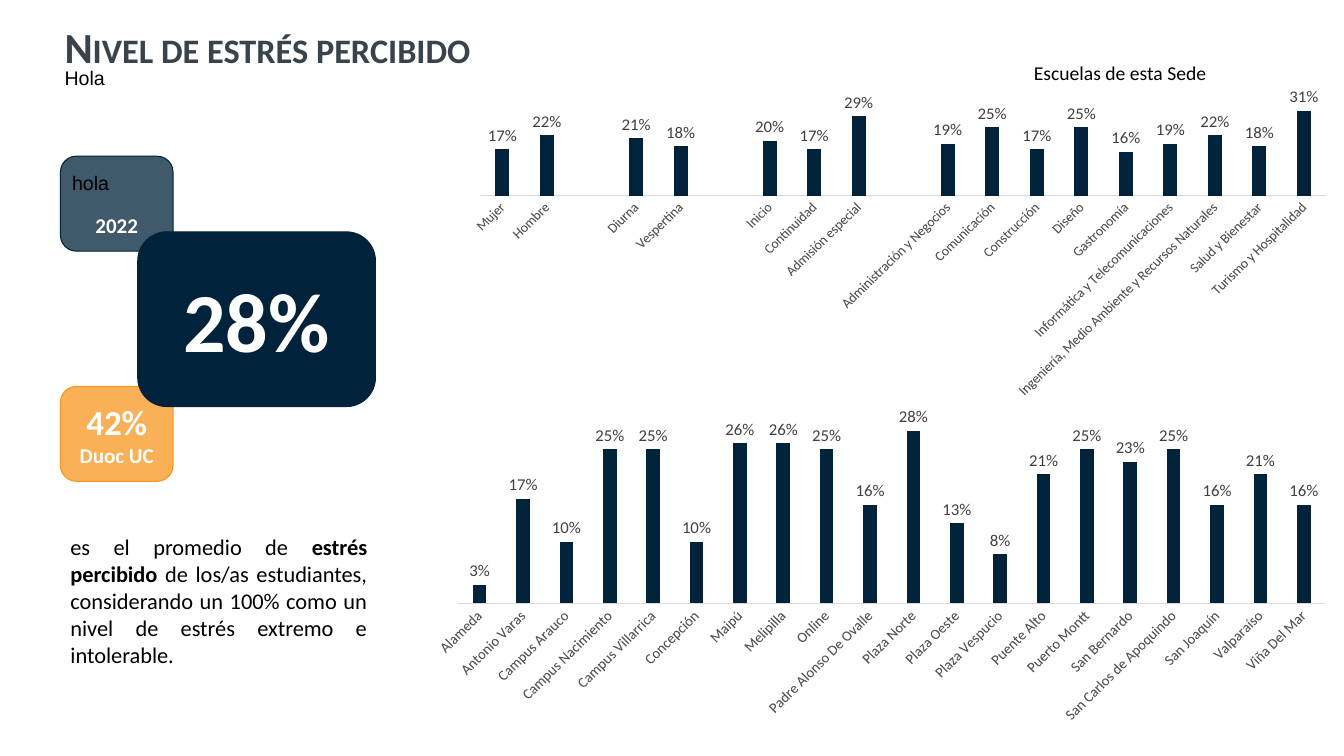
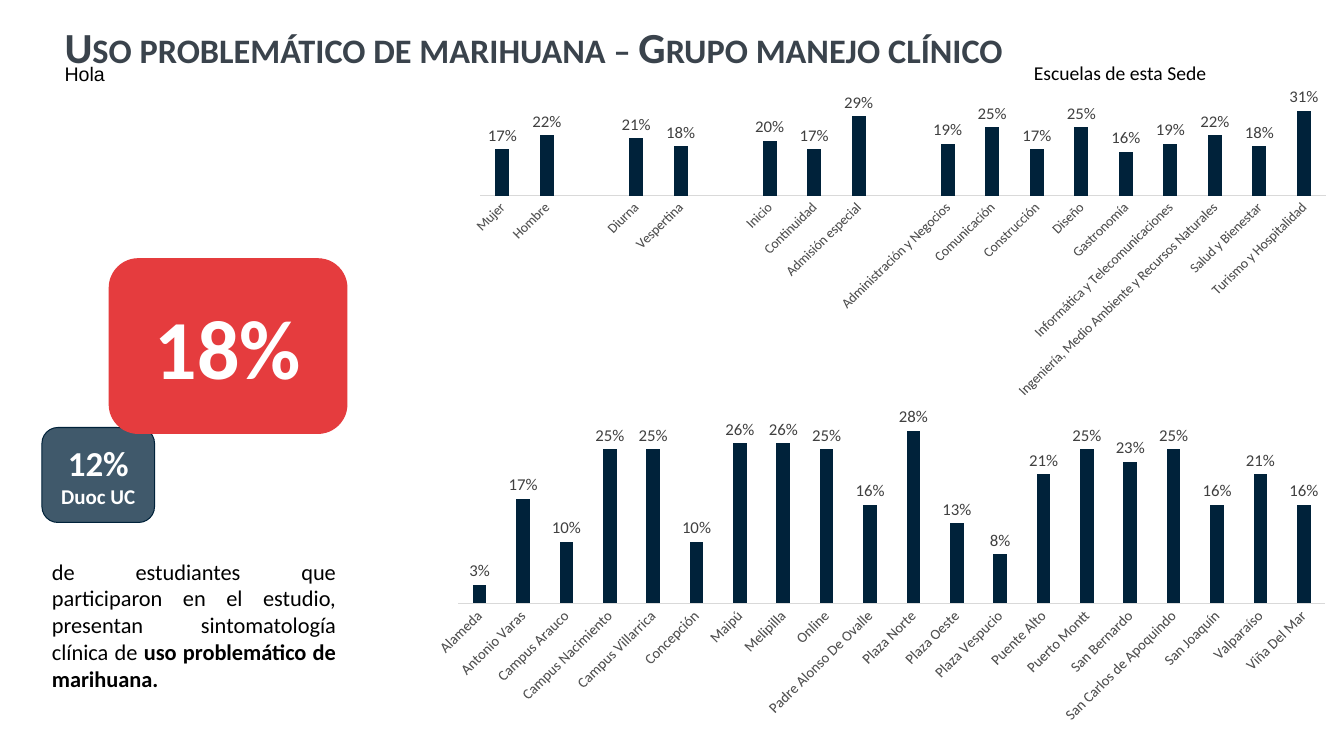
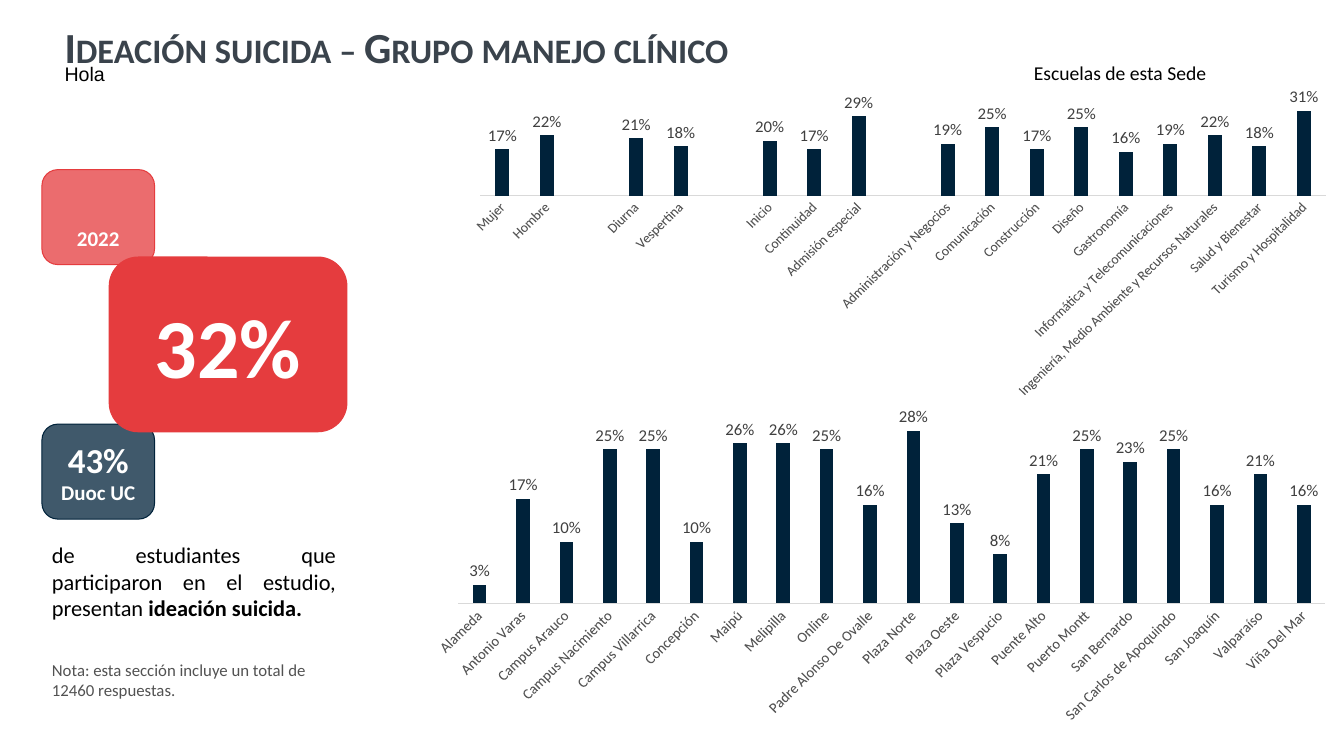
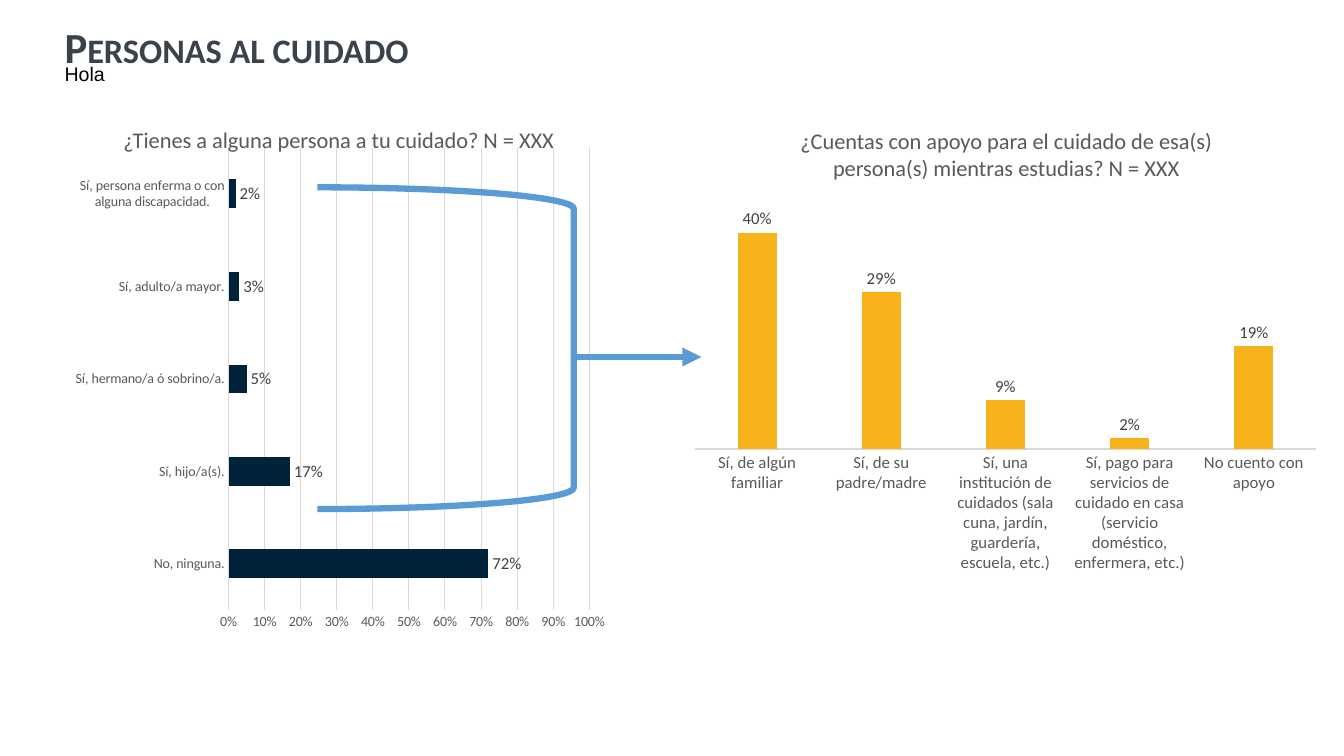
from dataclasses import dataclass, field
from typing import Any, NamedTuple, Optional

from lxml import etree
from pptx import Presentation
from pptx import util as u
from pptx.chart import data as chart_data
from pptx.dml import color as dml
from pptx.enum import chart as charts, shapes, text
from pptx.oxml import ns

COLUMNS, ROWS = 160, 90
WIDTH, HEIGHT = u.Inches(13.33), u.Inches(7.5)

NAVY, RED, ORANGE, AMBER, BLUE = "00223A", "E53C3E", "F8961E", "F8B31C", "5B9BD5"
BLACK, WHITE, SLATE, GREY = "000000", "FFFFFF", "3A434C", "595959"
NOTE_GREY, LABEL_GREY, RULE_GREY = "525252", "404040", "D9D9D9"

ALIGN = text.PP_ALIGN
ANCHOR = text.MSO_ANCHOR
SMALL_TILE = (13.4, 11.3)
LARGE_TILE = (28.3, 20.8)


class Area(NamedTuple):
    left: float
    top: float
    width: float
    height: float


class Run(NamedTuple):
    text: str
    size: float
    color: str = BLACK
    bold: bool = False
    name: str = "Calibri"


Lines = list[list[Run]]


@dataclass
class Tile:
    left: float
    top: float
    color: str
    lines: Lines
    size: tuple[float, float] = SMALL_TILE
    alpha: Optional[int] = 75
    drop: float = 0


@dataclass
class Bars:
    area: Area
    values: dict[str, float] | list[tuple[str, Optional[float]]]
    color: str = NAVY
    label_size: float = 10
    slanted: bool = False
    horizontal: bool = False


@dataclass
class ResultSlide:
    title: str
    greeting_top: float
    tiles: list[Tile]
    summary_area: Area
    summary: list[Run]
    extras: list[tuple[Area, Run]] = field(default_factory=list)


def colour(value: str) -> dml.RGBColor:
    return dml.RGBColor.from_string(value)


def x(columns: float) -> int:
    return round(WIDTH * columns / COLUMNS)


def y(rows: float) -> int:
    return round(HEIGHT * rows / ROWS)


def place(area: Area) -> tuple[int, int, int, int]:
    return x(area.left), y(area.top), x(area.width), y(area.height)


def set_format(target: Any, values: dict[str, Any]) -> None:
    for name, value in values.items():
        setattr(target, name, value)


def set_font(font: Any, size: float, color: str, bold: bool = False, name: str = "Calibri") -> None:
    set_format(font, {"size": u.Pt(size), "bold": bold, "name": name})
    font.color.rgb = colour(color)


def set_line(line: Any, color: str, width: float = 0.75) -> None:
    line.color.rgb = colour(color)
    line.width = u.Pt(width)


def write(frame: Any, lines: Lines, align: Any, **frame_format: Any) -> None:
    set_format(frame, {"word_wrap": True, **frame_format})
    for index, runs in enumerate(lines):
        paragraph = frame.add_paragraph() if index else frame.paragraphs[0]
        paragraph.alignment = align
        for item in runs:
            run = paragraph.add_run()
            run.text = item.text
            set_font(run.font, item.size, item.color, item.bold, item.name)


def add_text(slide: Any, area: Area, runs: list[Run], align: Any = ALIGN.LEFT, **frame_format: Any) -> Any:
    box = slide.shapes.add_textbox(*place(area))
    write(box.text_frame, [runs], align, **frame_format)
    return box


def add_heading(slide: Any, title: str, greeting_top: float) -> None:
    box = add_text(slide, Area(6.5, 3.1, 152.8, 5.6), [Run(title, 30.6, SLATE, True)],
                   margin_top=0, margin_bottom=0, vertical_anchor=ANCHOR.MIDDLE)
    paragraph = box.text_frame.paragraphs[0]
    paragraph.line_spacing = 0.9
    paragraph.runs[0].font._element.set("cap", "small")
    add_text(slide, Area(6.5, greeting_top, 107, 4.1), [Run("Hola", 14, name="Arial")])


def add_tile(slide: Any, tile: Tile) -> None:
    shape = slide.shapes.add_shape(shapes.MSO_SHAPE.ROUNDED_RECTANGLE,
                                   *place(Area(tile.left, tile.top, *tile.size)))
    shape.shadow.inherit = False
    shape.fill.solid()
    shape.fill.fore_color.rgb = colour(tile.color)
    set_line(shape.line, tile.color)
    if tile.alpha:
        fill = shape._element.spPr.find(ns.qn("a:solidFill"))
        etree.SubElement(fill[0], ns.qn("a:alpha"), val=str(tile.alpha * 1000))
    write(shape.text_frame, tile.lines, ALIGN.CENTER, vertical_anchor=ANCHOR.MIDDLE,
          margin_top=u.Inches(0.05) + y(tile.drop))


def add_bars(slide: Any, bars: Bars) -> None:
    pairs = list(bars.values.items()) if isinstance(bars.values, dict) else bars.values
    data = chart_data.CategoryChartData(number_format="0%")
    data.categories = [label for label, _ in pairs]
    data.add_series("Series 1", [value for _, value in pairs])
    kind = charts.XL_CHART_TYPE.BAR_CLUSTERED if bars.horizontal else charts.XL_CHART_TYPE.COLUMN_CLUSTERED
    chart = slide.shapes.add_chart(kind, *place(bars.area), data).chart
    set_format(chart, {"has_legend": False, "has_title": False})
    set_font(chart.font, 10, BLACK, name="Arial")

    plot = chart.plots[0]
    set_format(plot, {"gap_width": 219, "overlap": 0 if bars.horizontal else -27,
                      "vary_by_categories": False, "has_data_labels": True})
    set_format(plot.data_labels, {"show_value": True, "number_format": "0%", "number_format_is_linked": False,
                                  "position": charts.XL_LABEL_POSITION.OUTSIDE_END})
    set_font(plot.data_labels.font, 12, LABEL_GREY)
    series = plot.series[0]
    series.format.fill.solid()
    series.format.fill.fore_color.rgb = colour(bars.color)

    no_ticks = {"major_tick_mark": charts.XL_TICK_MARK.NONE, "minor_tick_mark": charts.XL_TICK_MARK.NONE}
    category_axis, value_axis = chart.category_axis, chart.value_axis
    set_format(category_axis, no_ticks)
    set_font(category_axis.tick_labels.font, bars.label_size, GREY)
    set_line(category_axis.format.line, RULE_GREY)
    if bars.slanted:
        body = category_axis._element.find(ns.qn("c:txPr")).find(ns.qn("a:bodyPr"))
        body.set("rot", "-2700000")
        body.set("vert", "horz")
    set_format(value_axis, {**no_ticks, "visible": bars.horizontal, "has_major_gridlines": bars.horizontal})
    if bars.horizontal:
        set_format(value_axis, {"minimum_scale": 0, "maximum_scale": 1, "major_unit": 0.1})
        set_format(value_axis.tick_labels, {"number_format": "0%", "number_format_is_linked": False})
        set_font(value_axis.tick_labels.font, 10, GREY)
        set_line(value_axis.major_gridlines.format.line, RULE_GREY)
        value_axis.format.line.fill.background()


def add_arrow(slide: Any, left: float, right: float, row: float) -> None:
    arrow = slide.shapes.add_connector(shapes.MSO_CONNECTOR.STRAIGHT, x(left), y(row), x(right), y(row))
    set_line(arrow.line, BLUE, 4.5)
    properties = arrow._element.spPr
    etree.SubElement(properties.find(ns.qn("a:ln")), ns.qn("a:tailEnd"), type="triangle")
    etree.SubElement(properties, ns.qn("a:effectLst"))


def year_tile(left: float, top: float, color: str) -> Tile:
    return Tile(left, top, color, [[Run("2022", 15, WHITE, True)]], drop=5.1)


def total_tile(left: float, top: float, color: str, share: str) -> Tile:
    return Tile(left, top, color, [[Run(share, 25, WHITE, True)], [Run("Duoc UC", 15, WHITE, True)]])


def main_tile(left: float, top: float, color: str, share: str) -> Tile:
    return Tile(left, top, color, [[Run(share, 60, WHITE, True)]], LARGE_TILE, None)


GROUP_BARS = Bars(Area(54.2, 10.4, 105.8, 37), [
    ("Mujer", 0.17), ("Hombre", 0.22), ("", None),
    ("Diurna", 0.21), ("Vespertina", 0.18), ("", None),
    ("Inicio", 0.2), ("Continuidad", 0.17), ("Admisión especial", 0.29), ("", None),
    ("Administración y Negocios", 0.19), ("Comunicación", 0.25), ("Construcción", 0.17),
    ("Diseño", 0.25), ("Gastronomía", 0.16), ("Informática y Telecomunicaciones", 0.19),
    ("Ingeniería, Medio Ambiente y Recursos Naturales", 0.22),
    ("Salud y Bienestar", 0.18), ("Turismo y Hospitalidad", 0.31),
], slanted=True)

CAMPUS_BARS = Bars(Area(49.7, 48.5, 110.3, 38.4), {
    "Alameda": 0.03, "Antonio Varas": 0.17, "Campus Arauco": 0.1, "Campus Nacimiento": 0.25,
    "Campus Villarrica": 0.25, "Concepción": 0.1, "Maipú": 0.26, "Melipilla": 0.26, "Online": 0.25,
    "Padre Alonso De Ovalle": 0.16, "Plaza Norte": 0.28, "Plaza Oeste": 0.13, "Plaza Vespucio": 0.08,
    "Puente Alto": 0.21, "Puerto Montt": 0.25, "San Bernardo": 0.23, "San Carlos de Apoquindo": 0.25,
    "San Joaquín": 0.16, "Valparaíso": 0.21, "Viña Del Mar": 0.16,
}, label_size=10.5, slanted=True)

SUPPORT_BARS = Bars(Area(81.2, 23.6, 77, 45.5), {
    "Sí, de algún familiar": 0.4,
    "Sí, de su padre/madre": 0.29,
    "Sí, una institución de cuidados (sala cuna, jardín, guardería, escuela, etc.)": 0.09,
    "Sí, pago para servicios de cuidado en casa (servicio doméstico, enfermera, etc.)": 0.02,
    "No cuento con apoyo": 0.19,
}, color=AMBER, label_size=12)

CARE_BARS = Bars(Area(7.7, 16.4, 65.6, 59.8), {
    "No, ninguna.": 0.72,
    "Sí, hijo/a(s).": 0.17,
    "Sí, hermano/a ó sobrino/a.": 0.05,
    "Sí, adulto/a mayor.": 0.03,
    "Sí, persona enferma o con alguna discapacidad.": 0.02,
}, horizontal=True)

RESULTS = [
    ResultSlide(
        "Nivel de estrés percibido", 7.3,
        [year_tile(7.2, 18.6, NAVY), total_tile(7.2, 46, ORANGE, "42%"), main_tile(16.4, 27.6, NAVY, "28%")],
        Area(7.2, 62.9, 37.7, 17.4),
        [Run("es el promedio de ", 16), Run("estrés percibido", 16, bold=True),
         Run(" de los/as estudiantes, considerando un 100% como un nivel de estrés extremo e intolerable.", 16)],
        [(Area(7.4, 19.7, 13.4, 4.1), Run("hola", 14, name="Arial"))]),
    ResultSlide(
        "Uso problemático de marihuana – Grupo manejo clínico", 6.8,
        [total_tile(5, 50.9, NAVY, "12%"), main_tile(13, 30.8, RED, "18%")],
        Area(5, 65.8, 36.2, 17.4),
        [Run("de estudiantes que participaron en el estudio, presentan sintomatología clínica de ", 16),
         Run("uso problemático de marihuana.", 16, bold=True)]),
    ResultSlide(
        "Ideación suicida – Grupo manejo clínico", 6.8,
        [year_tile(5, 20.2, RED), total_tile(5, 50.5, NAVY, "43%"), main_tile(13, 30.6, RED, "32%")],
        Area(5, 63.8, 36.2, 10.9),
        [Run("de estudiantes que participaron en el estudio, presentan", 16),
         Run(" ideación suicida.", 16, bold=True)],
        [(Area(5, 77.9, 36.2, 6),
          Run("Nota: esta sección incluye un total de 12460 respuestas.", 12, NOTE_GREY))]),
]


def draw_result(slide: Any, result: ResultSlide) -> None:
    for bars in (GROUP_BARS, CAMPUS_BARS):
        add_bars(slide, bars)
    for tile in result.tiles:
        add_tile(slide, tile)
    add_text(slide, result.summary_area, result.summary, ALIGN.JUSTIFY)
    add_text(slide, Area(118.3, 6.7, 30.1, 4.1), [Run("Escuelas de esta Sede", 14)], ALIGN.CENTER)
    for area, run in result.extras:
        add_text(slide, area, [run])
    add_heading(slide, result.title, result.greeting_top)


def draw_care(slide: Any) -> None:
    for bars in (SUPPORT_BARS, CARE_BARS):
        add_bars(slide, bars)
    bracket = slide.shapes.add_shape(shapes.MSO_SHAPE.RIGHT_BRACKET, *place(Area(37.8, 22.3, 30.5, 38.3)))
    bracket.shadow.inherit = False
    bracket.fill.background()
    set_line(bracket.line, BLUE, 4.5)
    add_arrow(slide, 68.5, 83.5, 42.5)
    questions = {
        "¿Tienes a alguna persona a tu cuidado? N = XXX": Area(12.2, 14.4, 56.3, 4.4),
        "¿Cuentas con apoyo para el cuidado de esa(s) persona(s) mientras estudias? N = XXX":
            Area(93.8, 14.6, 52, 7.7),
    }
    for question, area in questions.items():
        add_text(slide, area, [Run(question, 16, GREY)], ALIGN.CENTER)
    add_heading(slide, "Personas al cuidado", 6.8)


def main() -> None:
    presentation = Presentation()
    set_format(presentation, {"slide_width": WIDTH, "slide_height": HEIGHT})
    blank = presentation.slide_layouts[6]
    for result in RESULTS:
        draw_result(presentation.slides.add_slide(blank), result)
    draw_care(presentation.slides.add_slide(blank))
    presentation.save("out.pptx")


if __name__ == "__main__":
    main()
